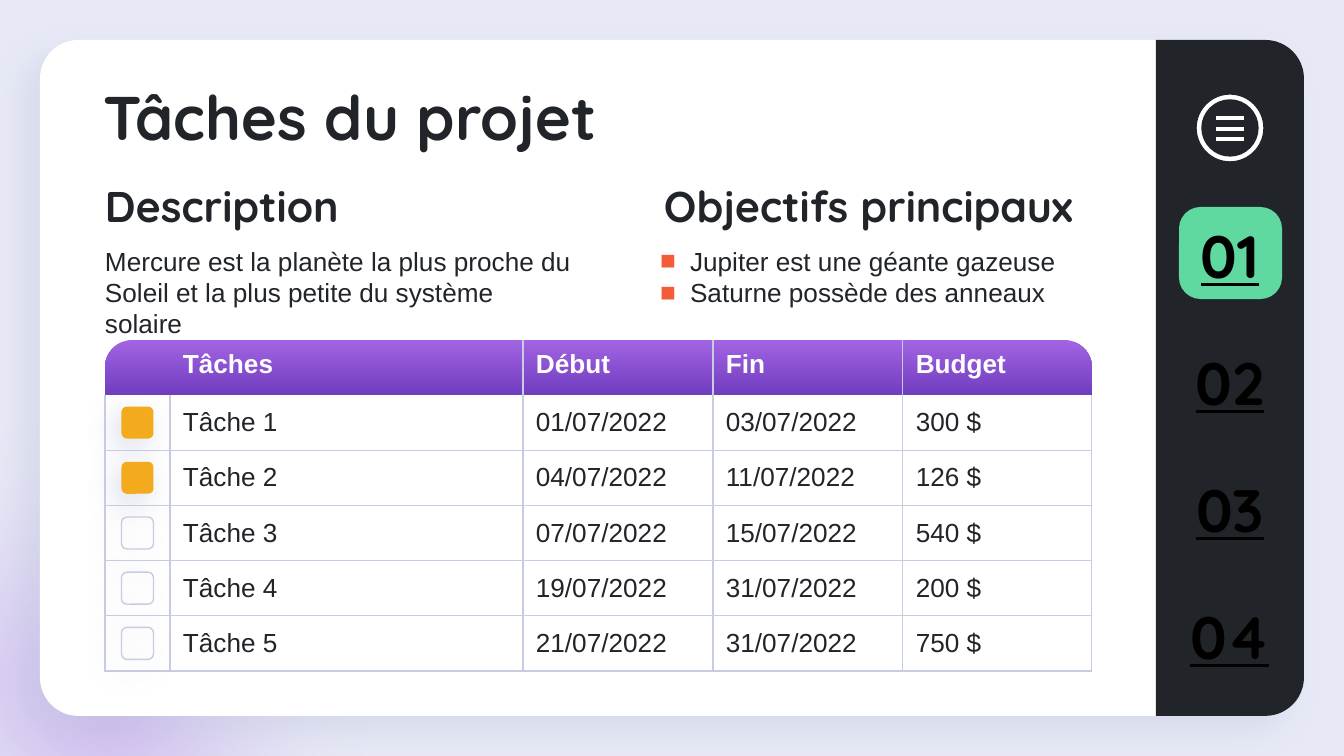
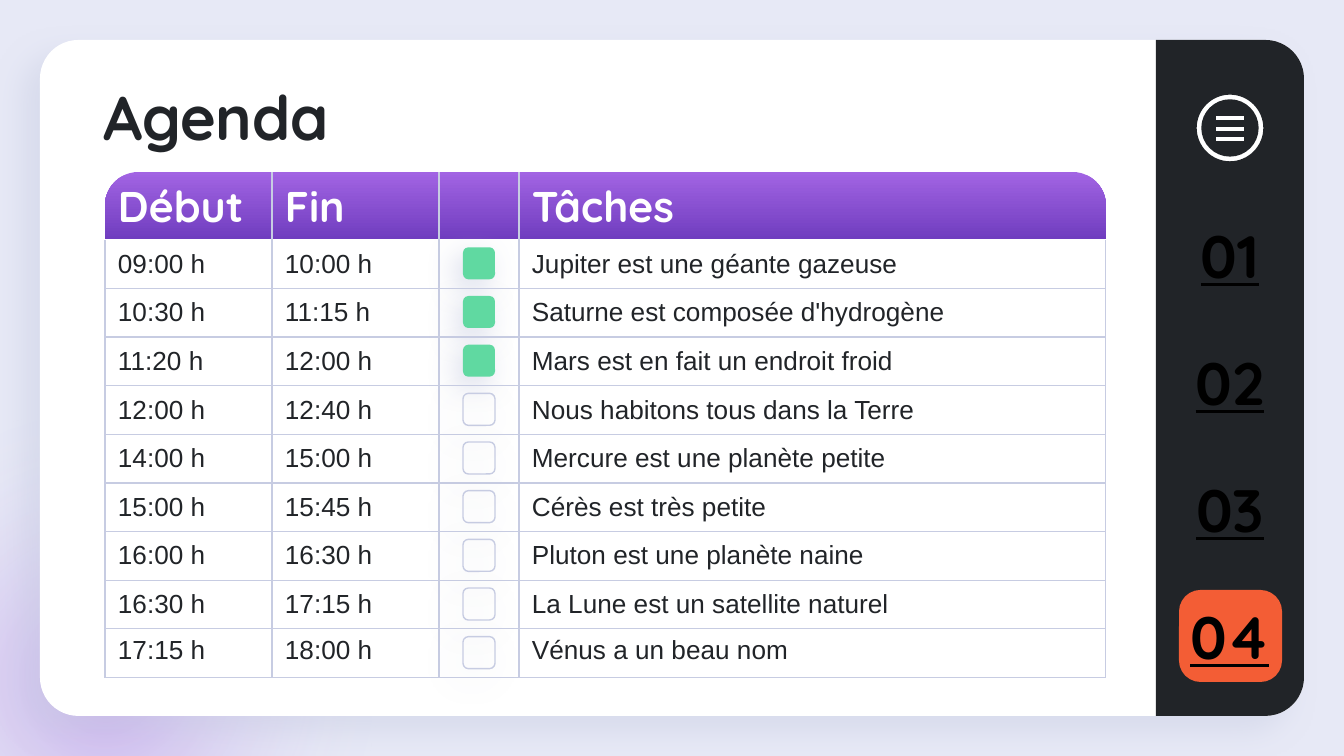
from dataclasses import dataclass

from pptx import Presentation
from pptx.dml.color import RGBColor
from pptx.enum.shapes import MSO_SHAPE
from pptx.enum.text import MSO_ANCHOR, MSO_AUTO_SIZE, PP_ALIGN
from pptx.oxml import parse_xml
from pptx.oxml.ns import nsdecls, qn
from pptx.util import Emu, Pt


# Theme
@dataclass(frozen=True)
class Theme:
    back: str = "E7E9F6"
    white: str = "FFFFFF"
    black: str = "000000"
    ink: str = "212428"
    edge: str = "C7CCE2"
    lilac: str = "A264E3"
    purple: str = "703DBF"
    green: str = "60D9A1"
    orange: str = "F35D35"
    amber: str = "F4AA1D"
    head: str = "Quicksand"
    body: str = "Arial"
    title: int = 33
    number: int = 32
    label: int = 23
    text: int = 14
    hair: float = 0.75


T = Theme()
SCALE = 914400 / 134.4
PAD, HALF = 13, 7
LEFT = 105
BOX = 32


@dataclass(frozen=True)
class Font:
    size: int
    face: str = T.body
    color: str = T.ink
    bold: bool = False
    line: bool = False


PLAIN = Font(T.text)
LABEL = Font(T.label, T.head, bold=True)


# Basic helpers
def px(n):
    return Emu(round(n * SCALE))


def rgb(code):
    return RGBColor.from_string(code)


def node(text):
    return parse_xml(f'<a:x {nsdecls("a")}>{text}</a:x>')[0]


def tint(code, alpha):
    return f'<a:srgbClr val="{code}"><a:alpha val="{alpha * 1000}"/></a:srgbClr>'


def style(para, font, align=PP_ALIGN.LEFT):
    para.alignment = align
    for run in para.runs:
        run.font.size = Pt(font.size)
        run.font.name = font.face
        run.font.bold = font.bold
        run.font.underline = font.line
        run.font.color.rgb = rgb(font.color)


def inset(item, left, top, right, bottom):
    item.margin_left, item.margin_top = px(left), px(top)
    item.margin_right, item.margin_bottom = px(right), px(bottom)


def paint(shape, fill=None, line=None):
    shape.shadow.inherit = False
    if fill:
        shape.fill.solid()
        shape.fill.fore_color.rgb = rgb(fill)
    else:
        shape.fill.background()
    if line:
        shape.line.color.rgb = rgb(line)
        shape.line.width = Pt(T.hair)
    else:
        shape.line.fill.background()


def block(slide, kind, x, y, w, h, fill=None, line=None, adj=()):
    shape = slide.shapes.add_shape(kind, px(x), px(y), px(w), px(h))
    paint(shape, fill, line)
    for i, value in enumerate(adj):
        shape.adjustments[i] = value
    return shape


def shade(shape, alpha, blur, dist, angle):
    shape.element.spPr.find(qn("a:effectLst")).append(node(
        f'<a:outerShdw blurRad="{Pt(blur)}" dist="{Pt(dist)}" dir="{angle * 60000}" '
        f'algn="bl" rotWithShape="0">{tint(T.edge, alpha)}</a:outerShdw>'))


def write(slide, x, y, w, h, lines, font):
    box = slide.shapes.add_textbox(px(x), px(y), px(w), px(h))
    frame = box.text_frame
    frame.word_wrap = True
    inset(frame, 0, 0, PAD, 0)
    frame.text = "\n".join(lines)
    for para in frame.paragraphs:
        style(para, font)
    return frame


def bullet(para):
    props = para._p.get_or_add_pPr()
    props.set("marL", str(px(34)))
    props.set("indent", str(px(-30)))
    props.append(node(f'<a:buClr><a:srgbClr val="{T.orange}"/></a:buClr>'))
    props.append(node(f'<a:buFont typeface="{T.body}"/>'))
    props.append(node('<a:buChar char="■"/>'))


# Shared backdrop, kept on the layout
def backdrop(slide, layout):
    halo = block(slide, MSO_SHAPE.OVAL, -208, 367, 626, 626)
    stops = "".join(
        f'<a:gs pos="{pos * 1000}">{tint(code, alpha)}</a:gs>'
        for pos, code, alpha in ((0, T.lilac, 49), (62, T.back, 0), (100, T.white, 0)))
    props = halo.element.spPr
    props.replace(props.find(qn("a:noFill")), node(
        f'<a:gradFill><a:gsLst>{stops}</a:gsLst><a:path path="circle">'
        '<a:fillToRect l="50000" t="50000" r="50000" b="50000"/></a:path></a:gradFill>'))
    panel = block(slide, MSO_SHAPE.ROUNDED_RECTANGLE, 40, 40, 1264, 676,
                  T.white, adj=[0.057])
    shade(panel, 47, 16.9, 12, 137)
    side = block(slide, MSO_SHAPE.ROUND_2_SAME_RECTANGLE, 892, 304, 676, 148,
                 T.ink, adj=[0.261, 0])
    side.rotation = 90

    layout.background.fill.solid()
    layout.background.fill.fore_color.rgb = rgb(T.back)
    for hold in list(layout.placeholders):
        if hold.placeholder_format.idx:
            hold.element.getparent().remove(hold.element)
    for i, shape in enumerate((halo, panel, side)):
        layout.shapes.element.insert(2 + i, shape.element)


# Side menu
def bend(line, start, mid):
    """Turn a chord between quarter points into an arc around mid."""
    end = line[0]
    x, y = int(end.get("x")), int(end.get("y"))
    pull = 0.55
    pts = [(start[0] + pull * (x - mid), start[1] + pull * (y - mid)),
           (x + pull * (start[0] - mid), y + pull * (start[1] - mid)), (x, y)]
    dots = "".join(f'<a:pt x="{round(a)}" y="{round(b)}"/>' for a, b in pts)
    line.getparent().replace(line, node(f"<a:cubicBezTo>{dots}</a:cubicBezTo>"))
    return x, y


def menu(slide):
    mid_x, mid_y, size = 1230, 128, 34

    def ring(r, turn):
        steps = ((r, 0), (0, r * turn), (-r, 0), (0, -r * turn), (r, 0))
        return [(mid_x + a, mid_y + b) for a, b in steps]

    def bar(top):
        a, b, c, d = mid_x - 15, mid_y + top, mid_x + 15, mid_y + top + 6
        return [(a, b), (a, d), (c, d), (c, b)]

    first, *rest = [[(px(x), px(y)) for x, y in path] for path in
                    (ring(size, 1), ring(28, -1), bar(-13), bar(-2), bar(8))]
    pen = slide.shapes.build_freeform(*first[0])
    pen.add_line_segments(first[1:], close=True)
    for path in rest:
        pen.move_to(*path[0])
        pen.add_line_segments(path[1:], close=True)
    icon = pen.convert_to_shape()
    paint(icon, T.white, T.ink)

    # The first two outlines are circles of four arcs each
    lines = list(icon.element.iter(qn("a:lnTo")))
    starts = list(icon.element.iter(qn("a:moveTo")))
    for i in range(2):
        spot = int(starts[i][0].get("x")), int(starts[i][0].get("y"))
        for line in lines[4 * i:4 * i + 4]:
            spot = bend(line, spot, px(size))


def tabs(slide, top, color):
    block(slide, MSO_SHAPE.ROUNDED_RECTANGLE, 1179, top, 103, 92, color, adj=[0.234])
    font = Font(T.number, T.head, T.black, True, True)
    for i in range(4):
        frame = write(slide, 1176, 218 + 127 * i, 108, 73, [f"{i + 1:02}"], font)
        inset(frame, PAD, 0, PAD, 0)
        frame.vertical_anchor = MSO_ANCHOR.MIDDLE
        frame.auto_size = MSO_AUTO_SIZE.SHAPE_TO_FIT_TEXT
        frame.paragraphs[0].alignment = PP_ALIGN.CENTER


def heading(slide, text):
    title = slide.shapes.title
    title.left, title.top, title.width, title.height = map(px, (90, 79, 1001, 70))
    frame = title.text_frame
    frame.text = text
    frame.word_wrap = True
    frame.auto_size = MSO_AUTO_SIZE.NONE
    frame.vertical_anchor = MSO_ANCHOR.TOP
    inset(frame, PAD, 0, PAD, PAD)
    style(frame.paragraphs[0], Font(T.title, T.head, bold=True))


# Tables
def border(cell, sides):
    props = cell._tc.get_or_add_tcPr()
    for i, side in enumerate("LRTB"):
        fill = (f'<a:solidFill><a:srgbClr val="{T.edge}"/></a:solidFill>'
                if side in sides else "<a:noFill/>")
        props.insert(i, node(f'<a:ln{side} w="{Pt(T.hair)}">{fill}</a:ln{side}>'))


def fill_cell(cell, text, font, sides, top=HALF):
    inset(cell, PAD, top, PAD, HALF)
    cell.vertical_anchor = MSO_ANCHOR.MIDDLE
    cell.fill.background()
    border(cell, sides)
    para = cell.text_frame.paragraphs[0]
    if text:
        para.text = text
        style(para, font)
    else:
        para._p.append(node(f'<a:endParaRPr sz="{T.text * 100}"/>'))


def checklist(slide, top, high, head, cols, rows, font, check, done, color, gap=HALF):
    wide = sum(cols)
    step = (high - head) / (len(rows) - 1)
    band = block(slide, MSO_SHAPE.ROUND_2_SAME_RECTANGLE, LEFT, top, wide, head,
                 adj=[0.5, 0])
    band.fill.gradient()
    band.fill.gradient_angle = 270
    for stop, code in zip(band.fill.gradient_stops, (T.lilac, T.purple)):
        stop.color.rgb = rgb(code)

    table = slide.shapes.add_table(len(rows), len(cols), px(LEFT), px(top),
                                   px(wide), px(high)).table
    table.first_row = table.horz_banding = False
    for col, width in zip(table.columns, cols):
        col.width = px(width)
    for r, row in enumerate(rows):
        table.rows[r].height = px(step if r else head)
        for c, text in enumerate(row):
            cell = table.cell(r, c)
            if r:
                fill_cell(cell, text, PLAIN, "LRB" if r == 1 else "LRTB")
            else:
                # The blank corner has no rule beside it
                left = "L" if c and row[c - 1] + row[0] else ""
                right = "R" if c < len(cols) - 1 and (c or text) else ""
                fill_cell(cell, text, font, left + right, gap)

    # Check boxes, centred in their column
    x = LEFT + sum(cols[:check]) + (cols[check] - BOX) / 2
    for i in range(len(rows) - 1):
        y = top + head + step * i + (step - BOX) / 2
        look = {"fill": color} if i < done else {"line": T.edge}
        box = block(slide, MSO_SHAPE.ROUNDED_RECTANGLE, x, y, BOX, BOX,
                    adj=[0.167], **look)
        shade(box, 63, 15.8, 6, 128)
    return table


# Slides
def tasks(slide):
    heading(slide, "Tâches du projet")
    menu(slide)
    write(slide, 664, 180, 429, 51, ["Objectifs principaux"], LABEL)
    write(slide, LEFT, 180, 480, 51, ["Description"], LABEL)
    write(slide, LEFT, 245, 480, 66, [
        "Mercure est la planète la plus proche du Soleil "
        "et la plus petite du système solaire"], PLAIN)
    goals = write(slide, 656, 245, 435, 63, [
        "Jupiter est une géante gazeuse", "Saturne possède des anneaux"], PLAIN)
    for para in goals.paragraphs:
        bullet(para)
    rows = [
        ("", "Tâches", "Début", "Fin", "Budget"),
        ("", "Tâche 1", "01/07/2022", "03/07/2022", "300 $"),
        ("", "Tâche 2", "04/07/2022", "11/07/2022", "126 $"),
        ("", "Tâche 3", "07/07/2022", "15/07/2022", "540 $"),
        ("", "Tâche 4", "19/07/2022", "31/07/2022", "200 $"),
        ("", "Tâche 5", "21/07/2022", "31/07/2022", "750 $"),
    ]
    checklist(slide, 340, 331, 55, (65, 353, 190, 190, 189), rows,
              Font(T.text, color=T.white, bold=True), 0, 2, T.amber, gap=0)
    tabs(slide, 207, T.green)


def agenda(slide):
    heading(slide, "Agenda")
    menu(slide)
    rows = [
        ("Début", "Fin", "", "Tâches"),
        ("09:00 h", "10:00 h", "", "Jupiter est une géante gazeuse"),
        ("10:30 h", "11:15 h", "", "Saturne est composée d'hydrogène"),
        ("11:20 h", "12:00 h", "", "Mars est en fait un endroit froid"),
        ("12:00 h", "12:40 h", "", "Nous habitons tous dans la Terre"),
        ("14:00 h", "15:00 h", "", "Mercure est une planète petite"),
        ("15:00 h", "15:45 h", "", "Cérès est très petite"),
        ("16:00 h", "16:30 h", "", "Pluton est une planète naine"),
        ("16:30 h", "17:15 h", "", "La Lune est un satellite naturel"),
        ("17:15 h", "18:00 h", "", "Vénus a un beau nom"),
    ]
    table = checklist(slide, 172, 505, 67, (167, 167, 80, 587), rows,
                      Font(T.label, T.head, T.white, True), 2, 3, T.green)
    for c in range(4):
        table.cell(len(rows) - 1, c).vertical_anchor = MSO_ANCHOR.TOP
    tabs(slide, 590, T.orange)


def main():
    deck = Presentation()
    deck.slide_width, deck.slide_height = px(1344), px(756)
    layout = deck.slide_layouts[5]
    first = deck.slides.add_slide(layout)
    backdrop(first, layout)
    tasks(first)
    agenda(deck.slides.add_slide(layout))
    deck.save("out.pptx")


if __name__ == "__main__":
    main()
